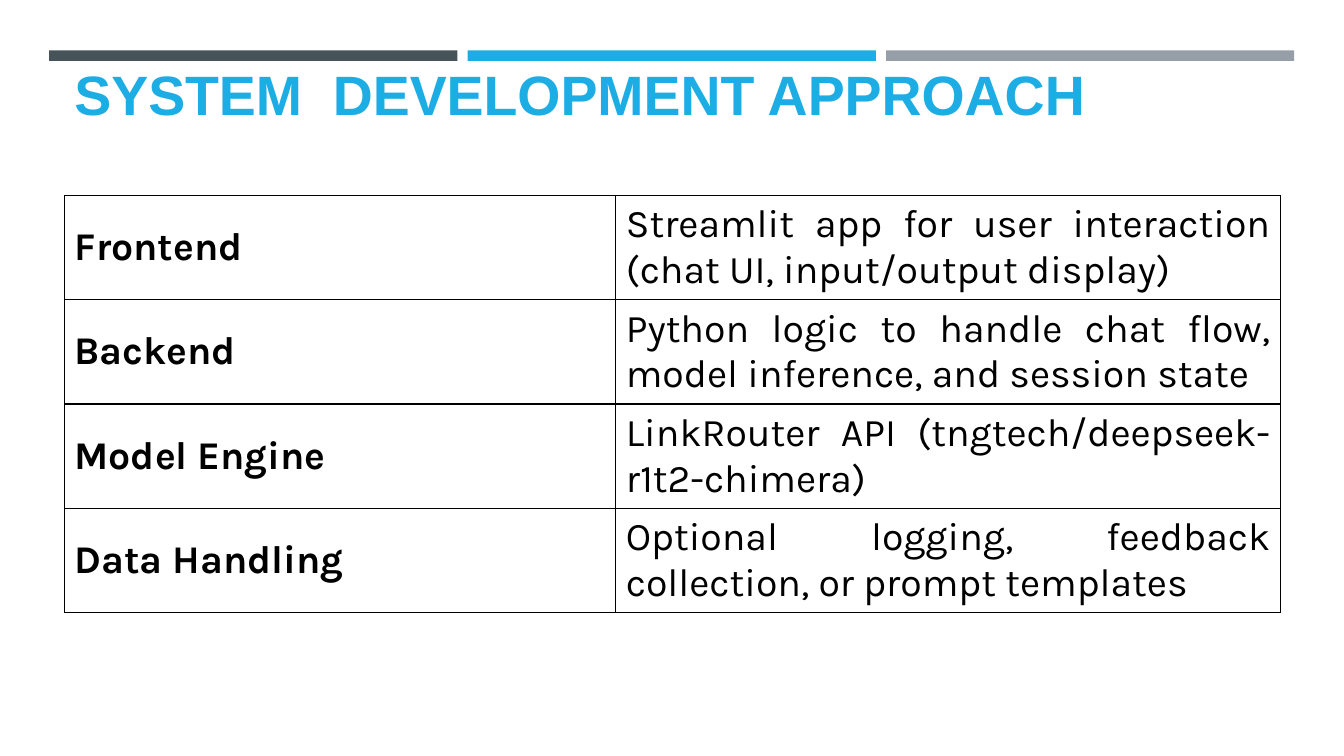
"""Build the slide on the system development approach."""
from lxml.etree import SubElement
from pptx import Presentation
from pptx.dml.color import RGBColor as Rgb
from pptx.enum.shapes import MSO_SHAPE as Shape
from pptx.enum.text import MSO_ANCHOR as Anchor, PP_ALIGN as Align
from pptx.oxml import parse_xml
from pptx.oxml.ns import nsdecls, qn
from pptx.util import Pt

COLORS = {"slate": "465359", "blue": "1CADE4", "gray": "969FA7", "black": "000000"}
LAYERS = [
    ("Frontend", "Streamlit app for user interaction (chat UI, input/output display)"),
    ("Backend", "Python logic to handle chat flow, model inference, and session state"),
    ("Model Engine", "LinkRouter API (tngtech/deepseek-r1t2-chimera)"),
    ("Data Handling", "Optional logging, feedback collection, or prompt templates"),
]
LEFT, WIDTH = 46.1, 868.3
COLUMN_WIDTHS = (393.8, 474.5)
ROW_HEIGHT = 72.9


def write(frame, text, *, size, font, color, bold=False, align=Align.LEFT):
    frame.word_wrap = True
    paragraph = frame.paragraphs[0]
    paragraph.alignment = align
    run = paragraph.add_run()
    run.text = text
    run.font.size = Pt(size)
    run.font.name = font
    run.font.bold = bold
    run.font.color.rgb = Rgb.from_string(COLORS[color])


def outline(cell):
    properties = cell._tc.get_or_add_tcPr()
    for position, side in enumerate("LRTB"):
        line = parse_xml(f'<a:ln{side} {nsdecls("a")} w="{Pt(1)}"/>')
        fill = SubElement(line, qn("a:solidFill"))
        SubElement(fill, qn("a:srgbClr"), val=COLORS["black"])
        properties.insert(position, line)


deck = Presentation()
deck.slide_width, deck.slide_height = Pt(960), Pt(540)
slide = deck.slides.add_slide(deck.slide_layouts[6])

for index, color in enumerate(("slate", "blue", "gray")):
    band = slide.shapes.add_shape(
        Shape.RECTANGLE, Pt(35.1 + index * 298.9), Pt(36), Pt(291.6), Pt(7.5))
    band.shadow.inherit = False
    band.fill.solid()
    band.fill.fore_color.rgb = Rgb.from_string(COLORS[color])
    band.line.fill.background()

title = slide.shapes.add_textbox(Pt(LEFT), Pt(51.8), Pt(WIDTH), Pt(41.8)).text_frame
title.vertical_anchor = Anchor.BOTTOM
write(title, "SYSTEM  DEVELOPMENT APPROACH", size=39.6, font="Arial", color="blue", bold=True)

layers = slide.shapes.add_table(
    len(LAYERS), 2, Pt(LEFT), Pt(139.7), Pt(WIDTH), Pt(ROW_HEIGHT * len(LAYERS))).table
layers.first_row = layers.horz_banding = False
for column, width in zip(layers.columns, COLUMN_WIDTHS):
    column.width = Pt(width)

for row, layer in enumerate(LAYERS):
    layers.rows[row].height = Pt(ROW_HEIGHT)
    for column, text in enumerate(layer):
        cell = layers.cell(row, column)
        cell.vertical_anchor = Anchor.MIDDLE
        cell.fill.background()
        outline(cell)
        write(cell.text_frame, text, size=28, font="Karla", color="black",
              bold=column == 0, align=Align.JUSTIFY)

deck.save("out.pptx")
